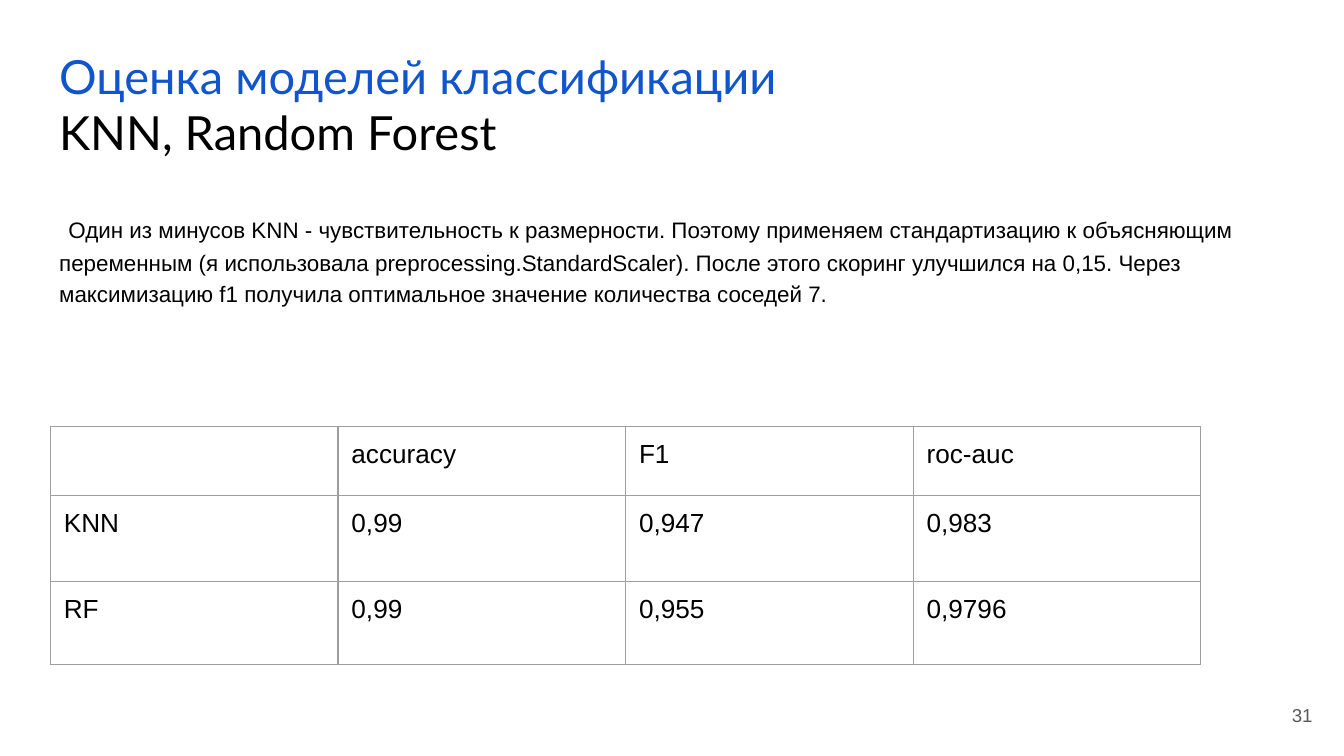
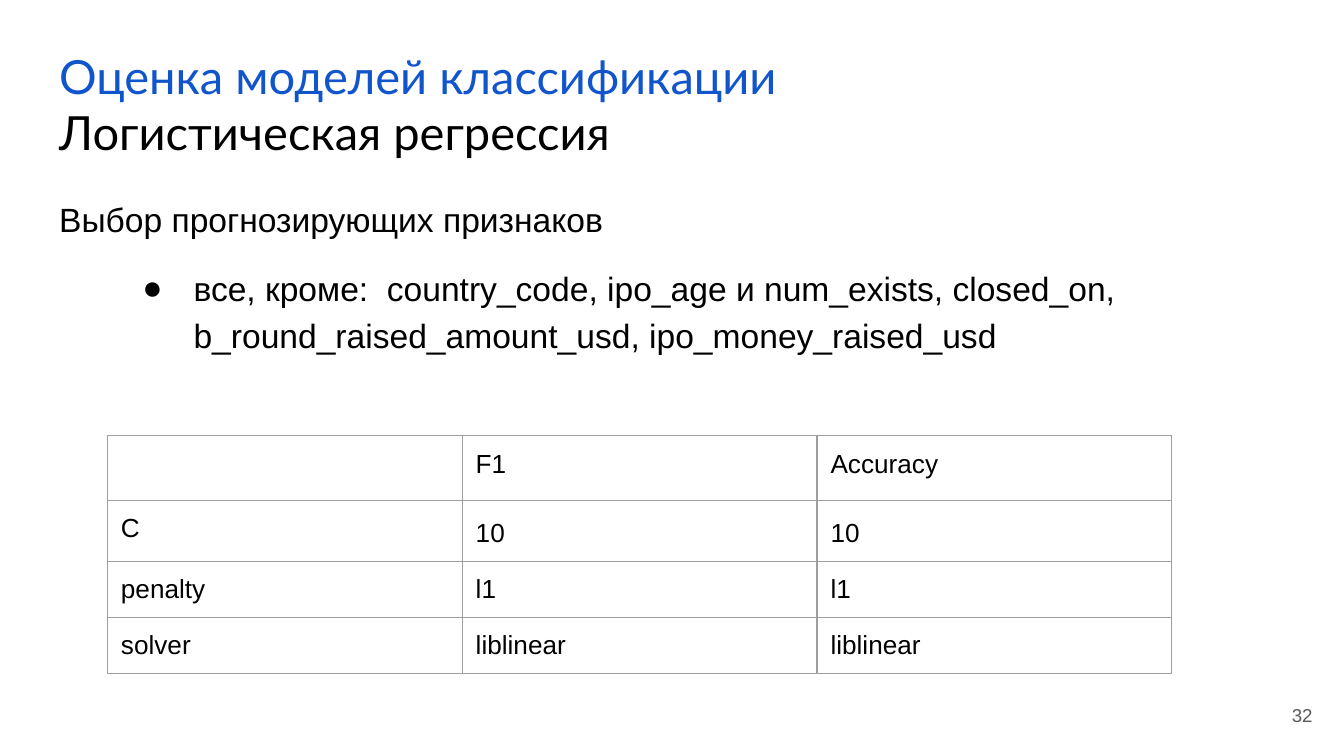
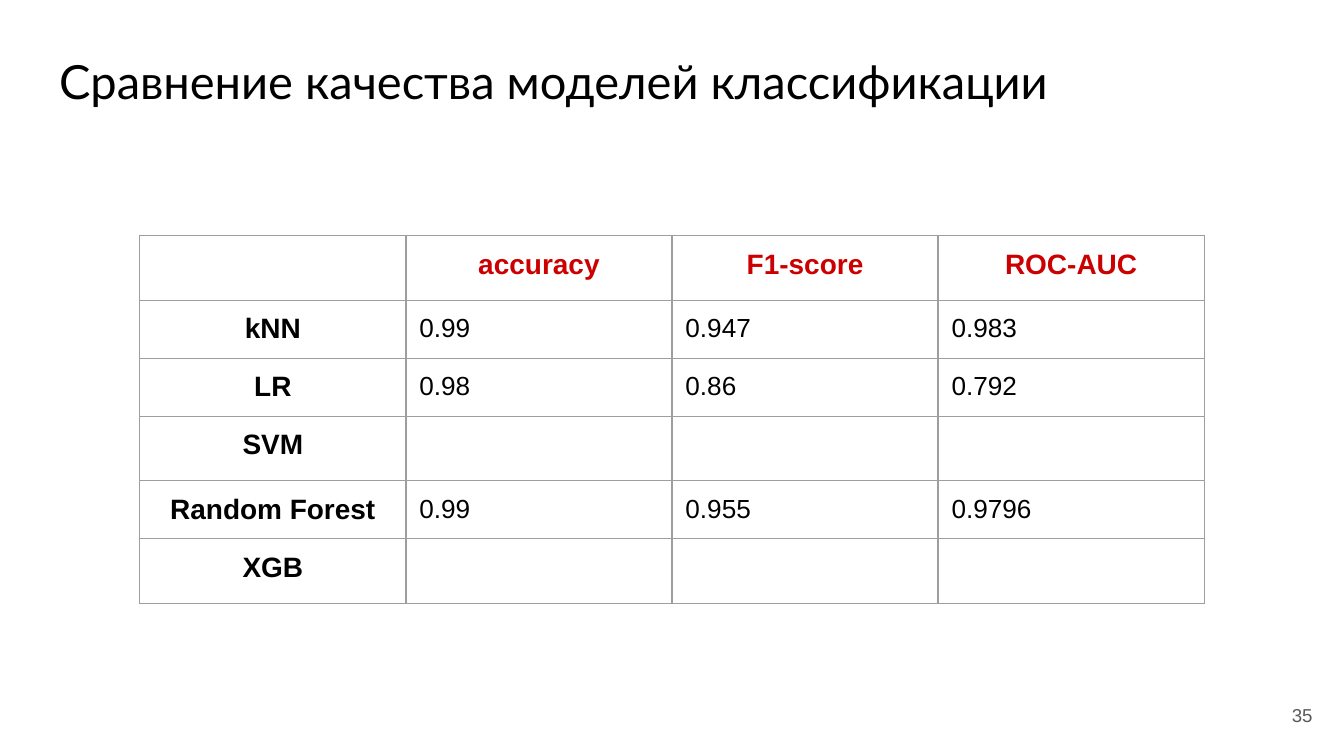
import lxml.etree
import pptx
import pptx.dml.color
import pptx.enum.text
import pptx.oxml.ns
import pptx.util

WIDTH = pptx.util.Inches(10)
HEIGHT = WIDTH * 9 // 16
COL, ROW = WIDTH / 100, HEIGHT / 100
BLUE, BLACK, RED, GREY, PALE, BORDER = "1155CC", "000000", "CC0000", "595959", "B7B7B7", "9E9E9E"
ALIGN = pptx.enum.text.PP_ALIGN
ANCHOR = pptx.enum.text.MSO_ANCHOR
TITLE_BOX = (3.4, 4.45, 93.2, 11.2)
NUMBER_BOX = (92.65, 90.7, 6, 7.65)
SECTION = "Оценка моделей классификации"


def color(value):
    """Turn a hex string into a colour."""
    return pptx.dml.color.RGBColor.from_string(value)


def sub(parent, tag, **attrs):
    """Append a DrawingML element to its parent."""
    return lxml.etree.SubElement(parent, pptx.oxml.ns.qn(tag), attrs)


def place(box):
    """Convert a box in grid columns and rows to slide lengths."""
    x, y, w, h = box
    return int(x * COL), int(y * ROW), int(w * COL), int(h * ROW)


def inset(target):
    """Give a text frame or cell equal margins."""
    for side in ("left", "top", "right", "bottom"):
        setattr(target, f"margin_{side}", pptx.util.Inches(0.1))


def write(p, text, size=14, font="Arial", fill=BLACK, bold=False, align=ALIGN.LEFT,
          spacing=1.0, before=0, after=0):
    """Add a formatted run to a paragraph."""
    p.alignment, p.line_spacing = align, spacing
    p.space_before, p.space_after = pptx.util.Pt(before), pptx.util.Pt(after)
    r = p.add_run()
    r.text = text
    r.font.size, r.font.name, r.font.bold = pptx.util.Pt(size), font, bold
    r.font.color.rgb = color(fill)


def frame(sp, box, anchor=ANCHOR.TOP):
    """Move a shape to its box and prepare its text frame."""
    sp.left, sp.top, sp.width, sp.height = place(box)
    tf = sp.text_frame
    tf.word_wrap, tf.vertical_anchor = True, anchor
    tf.auto_size = pptx.enum.text.MSO_AUTO_SIZE.NONE
    inset(tf)
    return tf


def set_bullet(p, char=None):
    """Give a paragraph a hanging bullet, or none."""
    pPr = p._p.get_or_add_pPr()
    left, hang = (1, -0.38) if char else (0, 0)
    pPr.set("marL", str(pptx.util.Inches(left)))
    pPr.set("indent", str(pptx.util.Inches(hang)))
    if char:
        sub(sub(pPr, "a:buClr"), "a:srgbClr", val=BLACK)
        sub(pPr, "a:buFont", typeface="Arial")
        sub(pPr, "a:buChar", char=char)
    else:
        sub(pPr, "a:buNone")


def add_slide(prs, layout, number, lines, box=TITLE_BOX):
    """Add a slide with its title lines and page number."""
    s = prs.slides.add_slide(prs.slide_layouts[layout])
    tf = frame(s.shapes.title, box)
    for i, (text, fill) in enumerate(lines):
        p = tf.add_paragraph() if i else tf.paragraphs[0]
        write(p, text, size=25.2, font="Lato", fill=fill)
    tf = frame(s.shapes.add_textbox(*place(NUMBER_BOX)), NUMBER_BOX, ANCHOR.MIDDLE)
    write(tf.paragraphs[0], number, size=10, fill=GREY, align=ALIGN.RIGHT)
    return s


def format_cell(cell):
    """Clear a cell's fill and outline it."""
    inset(cell)
    tcPr = cell._tc.get_or_add_tcPr()
    for tag in ("a:lnL", "a:lnR", "a:lnT", "a:lnB"):
        ln = sub(tcPr, tag, w=str(pptx.util.Pt(0.75)))
        sub(sub(ln, "a:solidFill"), "a:srgbClr", val=BORDER)
    cell.fill.background()


def add_grid(s, x, y, col_width, heights, rows, style):
    """Add a table whose cell format is style(row, column)."""
    box = (x, y, col_width * len(rows[0]), sum(heights))
    table = s.shapes.add_table(len(rows), len(rows[0]), *place(box)).table
    table.first_row = table.horz_banding = False
    for column in table.columns:
        column.width = int(col_width * COL)
    for i, (height, row) in enumerate(zip(heights, rows)):
        table.rows[i].height = int(height * ROW)
        for j, text in enumerate(row):
            cell = table.cell(i, j)
            format_cell(cell)
            p = cell.text_frame.paragraphs[0]
            if text:
                write(p, text, **style(i, j))
            else:
                sub(p._p, "a:endParaRPr", sz="1400")


def neighbours_slide(prs):
    """Build the KNN and Random Forest slide."""
    s = add_slide(prs, 1, "31", [(SECTION, BLUE), ("KNN, Random Forest", BLACK)])
    p = frame(s.placeholders[1], (3.4, 24.5, 93.2, 18.7)).paragraphs[0]
    write(p, " ", size=18, fill=PALE)
    write(p, "Один из минусов KNN - чувствительность к размерности. Поэтому применяем "
          "стандартизацию к объясняющим переменным (я использовала "
          "preprocessing.StandardScaler). После этого скоринг улучшился на 0,15. Через "
          "максимизацию f1 получила оптимальное значение количества соседей 7.",
          size=12, spacing=1.15, after=12)
    set_bullet(p)
    rows = [("", "accuracy", "F1", "roc-auc"),
            ("KNN", "0,99", "0,947", "0,983"),
            ("RF", "0,99", "0,955", "0,9796")]
    add_grid(s, 3.75, 56.4, 21.4, (9.1, 11.4, 11), rows, lambda i, j: {})


def regression_slide(prs):
    """Build the logistic regression slide."""
    s = add_slide(prs, 1, "32", [(SECTION, BLUE), ("Логистическая регрессия", BLACK)])
    tf = frame(s.placeholders[1], (3.4, 23.8, 93.2, 35))
    p = tf.paragraphs[0]
    write(p, "Выбор прогнозирующих признаков", size=18, spacing=1.15)
    set_bullet(p)
    p = tf.add_paragraph()
    write(p, "все, кроме:  country_code, ipo_age и num_exists, closed_on, "
          "b_round_raised_amount_usd, ipo_money_raised_usd", size=18, spacing=1.15, before=12)
    set_bullet(p, "●")
    rows = [("", "F1", "Accuracy"),
            ("C", "10", "10"),
            ("penalty", "l1", "l1"),
            ("solver", "liblinear", "liblinear")]
    add_grid(s, 8, 57.65, 26.4, (8.55, 8, 7.45, 7.45), rows,
             lambda i, j: {"spacing": 1.15 if i == 1 and j else 1.0})


def comparison_style(i, j):
    """Return the format for the header row, row names or values."""
    if i and j:
        return {}
    return {"size": 15, "bold": True, "align": ALIGN.CENTER, "fill": BLACK if i else RED}


def comparison_slide(prs):
    """Build the model comparison slide."""
    s = add_slide(prs, 5, "35", [("Сравнение качества моделей классификации", BLACK)],
                  (3.4, 5.1, 93.2, 11.2))
    rows = [("", "accuracy", "F1-score", "ROC-AUC"),
            ("kNN", "0.99", "0.947", "0.983"),
            ("LR", "0.98", "0.86", "0.792"),
            ("SVM", "", "", ""),
            ("Random Forest", "0.99", "0.955", "0.9796"),
            ("XGB", "", "", "")]
    heights = [7.65 if all(row) else 8.55 for row in rows]
    add_grid(s, 10.4, 31.15, 19.8, heights, rows, comparison_style)


def main():
    """Build and save the presentation."""
    prs = pptx.Presentation()
    prs.slide_width, prs.slide_height = WIDTH, HEIGHT
    for build in (neighbours_slide, regression_slide, comparison_slide):
        build(prs)
    prs.save("out.pptx")


if __name__ == "__main__":
    main()
